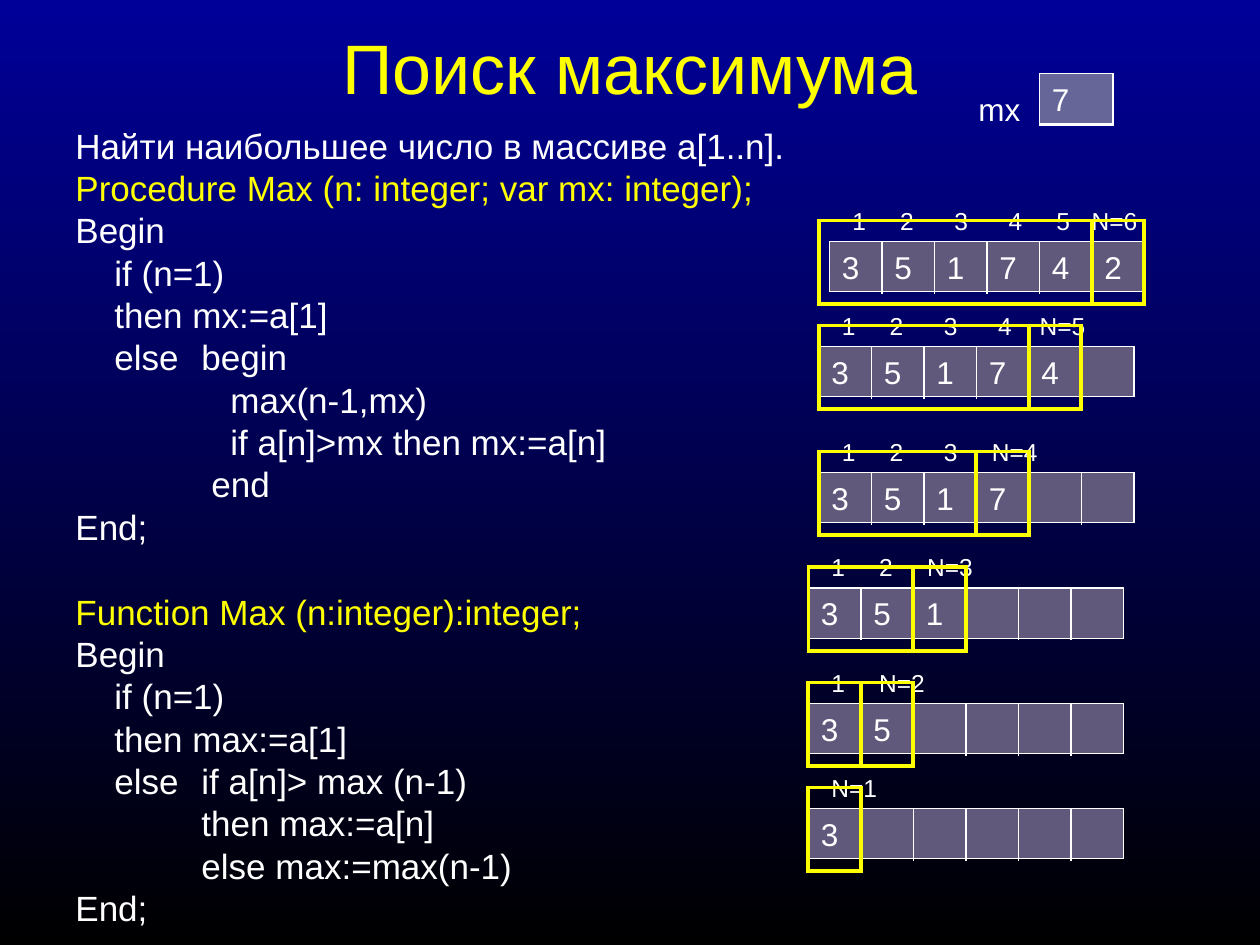
from lxml.etree import SubElement
from pptx import Presentation
from pptx.dml.color import RGBColor
from pptx.enum.shapes import MSO_CONNECTOR as Connector, MSO_SHAPE as Shape
from pptx.enum.text import MSO_ANCHOR as Anchor, PP_ALIGN as Align
from pptx.oxml.ns import qn
from pptx.util import Inches, Pt

color = RGBColor.from_string
WHITE, YELLOW, CELL, RESULT = "FFFFFF", "FFFF00", "60597B", "666699"

deck = Presentation()
deck.slide_width, deck.slide_height = Inches(10), Inches(7.5)
unit = deck.slide_width / 120
page = deck.slides.add_slide(deck.slide_layouts[6])

backdrop = page.background.fill
backdrop.gradient()
backdrop.gradient_angle = 270
for stop, shade in zip(backdrop.gradient_stops, ("000099", "000000")):
    stop.color.rgb = color(shade)


def add_box(shapes, column, row, columns, rows, fill=None, line=None, weight=0.75):
    place = [round(n * unit) for n in (column, row, columns, rows)]
    if line is None:
        box = shapes.add_textbox(*place)
    else:
        box = shapes.add_shape(Shape.RECTANGLE, *place)
        box.shadow.inherit = False
        box.line.color.rgb = color(line)
        box.line.width = Pt(weight)
        SubElement(box._element.spPr.find(qn("a:ln")), qn("a:miter"), lim="800000")
        if fill:
            box.fill.solid()
            box.fill.fore_color.rgb = color(fill)
        else:
            box.fill.background()
    box.text_frame.word_wrap = True
    box.text_frame.vertical_anchor = Anchor.TOP
    return box


def add_text(para, text, size, ink=WHITE, stops=()):
    para.alignment = Align.LEFT
    span = para.add_run()
    span.text = text
    span.font.name = "Arial"
    span.font.size = Pt(size)
    span.font.color.rgb = color(ink)
    if stops:
        tabs = SubElement(para._p.get_or_add_pPr(), qn("a:tabLst"))
        for stop in stops:
            SubElement(tabs, qn("a:tab"), pos=str(round(stop)), algn="l")


title = add_box(page.shapes, 6, 3.6, 108, 5.4)
title.text_frame.vertical_anchor = Anchor.MIDDLE
add_text(title.text_frame.paragraphs[0], "Поиск максимума", 40, YELLOW)
title.text_frame.paragraphs[0].alignment = Align.CENTER

code = [
    ("Найти наибольшее число в массиве а[1..n].", 0),
    ("Procedure Max (n: integer; var mx: integer);", 0),
    ("Begin", 0),
    ("if (n=1)", 0.31),
    ("then mx:=a[1]", 0.31),
    ("else\tbegin", 0.31),
    ("max(n-1,mx)", 1.23),
    ("if a[n]>mx then mx:=a[n]", 1.23),
    ("end", 1.08),
    ("End;", 0),
    ("Function Max (n:integer):integer;", 0),
    ("Begin", 0),
    ("if (n=1)", 0.31),
    ("then max:=a[1]", 0.31),
    ("else\tif a[n]> max (n-1)", 0.31),
    ("then max:=a[n]", 1),
    ("else max:=max(n-1)", 1),
    ("End;", 0),
]
listing = add_box(page.shapes, 6, 12, 105, 78).text_frame
for index, (text, indent) in enumerate(code):
    para = listing.add_paragraph() if index else listing.paragraphs[0]
    para.line_spacing = 0.8
    para.space_before = Pt(29.2 if text.startswith("Function") else 5)
    margin = 1 if "\t" in text else indent
    layout = para._p.get_or_add_pPr()
    layout.set("marL", str(Inches(margin)))
    layout.set("indent", str(Inches(indent - margin)))
    heading = text.startswith(("Procedure", "Function"))
    add_text(para, text, 20, YELLOW if heading else WHITE)

values = "351742"
cell = 5
value_stops = [cell * unit * n for n in range(1, 6)]
index_stops = [0.38, 0.81, 1.24, 1.62]
steps = [
    (6, 79, 23, 1.9),
    (5, 78, 33, 1.57),
    (4, 78, 45, 1.19),
    (3, 77, 56, 0.76),
    (2, 77, 67, 0.38),
    (1, 77, 77, 0),
]

for count, left, top, last_stop in steps:
    array = page.shapes.add_group_shape().shapes
    strip = add_box(array, left, top, 6 * cell, 4.8, CELL, WHITE)
    add_text(strip.text_frame.paragraphs[0], "\t".join(values[:count]), 18, WHITE, value_stops)
    for n in range(1, 6):
        x = round((left + n * cell) * unit)
        divider = array.add_connector(
            Connector.STRAIGHT, x, round(top * unit), x, round((top + cell) * unit))
        divider.line.color.rgb = color(WHITE)
        divider.line.width = Pt(0.75)
        SubElement(divider._element.spPr, qn("a:effectLst"))

    indices = [str(n) for n in range(1, count)] + [f"N={count}"]
    stops = [Inches(n) for n in index_stops[:max(count - 2, 0)] + [last_stop] if n]
    caption = add_box(page.shapes, left + 1, top - 4, 31, 4.1)
    add_text(caption.text_frame.paragraphs[0], "\t".join(indices), 14, WHITE, stops)

    start, split = min(left, 78), left + (count - 1) * cell
    if count > 1:
        add_box(page.shapes, start, top - 2, split - start, 8, None, YELLOW, 2.25)
    add_box(page.shapes, split, top - 2, cell, 8, None, YELLOW, 2.25)

name = add_box(page.shapes, 92, 8, 7, 4.8)
add_text(name.text_frame.paragraphs[0], "mx", 18)
add_box(page.shapes, 99, 7, 7, 4.9, RESULT, WHITE)
maximum = add_box(page.shapes, 99, 7, 7, 4.8, RESULT, WHITE)
add_text(maximum.text_frame.paragraphs[0], "7", 18)

deck.save("out.pptx")
